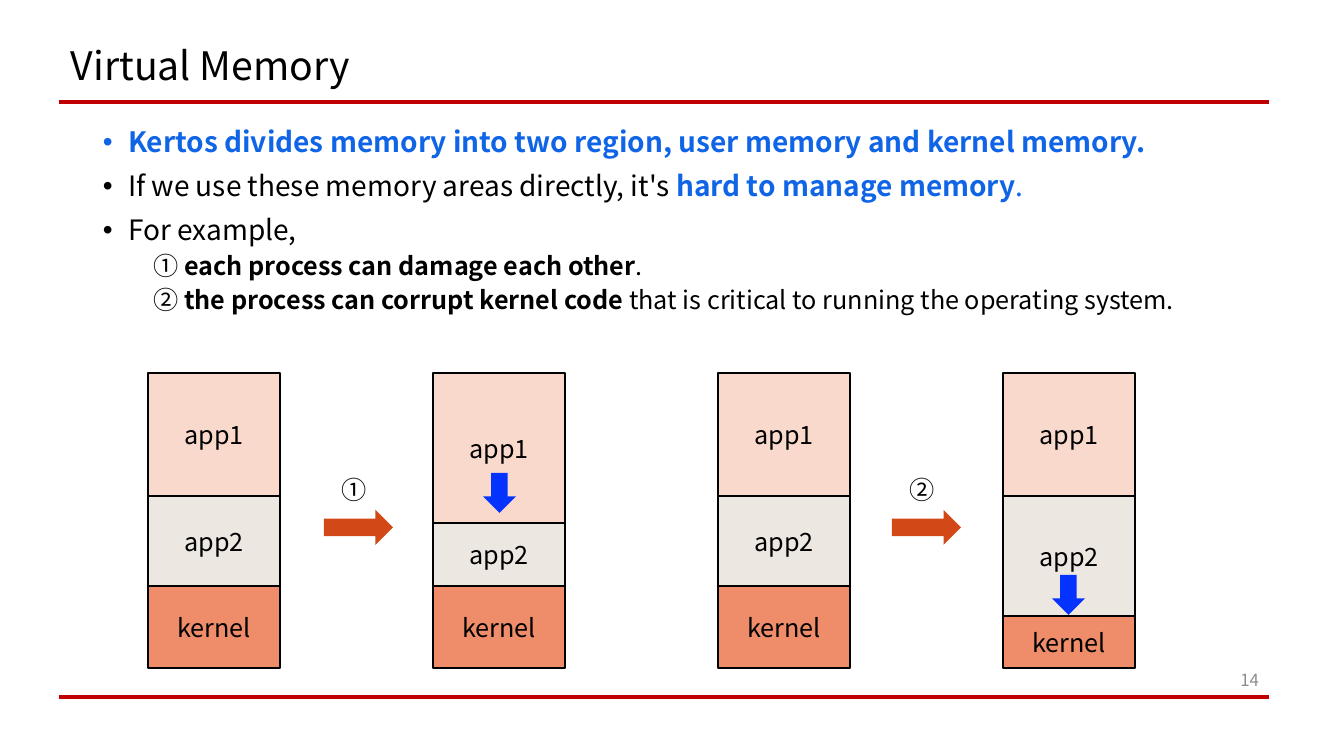
import dataclasses

import lxml.etree
import pptx
import pptx.dml.color
import pptx.enum.shapes
import pptx.enum.text
import pptx.oxml.ns
import pptx.util

SHAPE = pptx.enum.shapes.MSO_SHAPE
ALIGN = pptx.enum.text.PP_ALIGN
ANCHOR = pptx.enum.text.MSO_ANCHOR


@dataclasses.dataclass(frozen=True)
class Theme:
    font: str = "Noto Sans CJK KR"
    ink: str = "000000"
    rule: str = "C00000"
    highlight: str = "1065E7"
    page: str = "8C8C8C"
    app1: str = "FAD9CD"
    app2: str = "ECE8E1"
    kernel: str = "EF8C6A"
    step: str = "D34817"
    growth: str = "0432FF"
    title_size: int = 28
    bullet_size: int = 20
    label_size: int = 18
    page_size: int = 12


THEME = Theme()

# Memory columns: four at equal steps, each split at the given edges
COLUMN_LEFT, COLUMN_STEP, COLUMN_WIDTH = 148, 285, 132
REGIONS = (("app1", THEME.app1), ("app2", THEME.app2), ("kernel", THEME.kernel))
COLUMN_EDGES = (
    (373, 496, 586, 668),
    (373, 523, 586, 668),
    (373, 496, 586, 668),
    (373, 496, 616, 668),
)

# Bullets: level, then runs of (text, colour, bold)
BULLETS = (
    (0, (("Kertos divides memory into two region, user memory and kernel memory.",
          THEME.highlight, True),)),
    (0, (("If we use these memory areas directly, it's ", THEME.ink, False),
         ("hard to manage memory", THEME.highlight, True),
         (".", THEME.highlight, False))),
    (0, (("For example,", THEME.ink, False),)),
    (1, (("① ", THEME.ink, False),
         ("each process can damage each other", THEME.ink, True),
         (".", THEME.ink, False))),
    (1, (("② ", THEME.ink, False),
         ("the process can corrupt kernel code ", THEME.ink, True),
         ("that is critical to running the operating system.", THEME.ink, False))),
)


def px(length):
    return pptx.util.Emu(round(length * 914400 / 100.8))


def rgb(colour):
    return pptx.dml.color.RGBColor.from_string(colour)


def add_run(paragraph, text, size, colour=THEME.ink, bold=False):
    run = paragraph.add_run()
    run.text = text
    run.font.name = THEME.font
    run.font.size = pptx.util.Pt(size)
    run.font.bold = bold
    run.font.color.rgb = rgb(colour)


def add_text_frame(slide, box, anchor=ANCHOR.TOP, wrap=True):
    frame = slide.shapes.add_textbox(*map(px, box)).text_frame
    frame.word_wrap = wrap
    frame.vertical_anchor = anchor
    return frame


def add_rule(slide, y):
    rule = slide.shapes.add_connector(
        pptx.enum.shapes.MSO_CONNECTOR.STRAIGHT, px(59), px(y), px(1269), px(y))
    rule.line.color.rgb = rgb(THEME.rule)
    rule.line.width = pptx.util.Pt(2.25)
    lxml.etree.SubElement(rule._element.spPr, pptx.oxml.ns.qn("a:effectLst"))


def add_filled(slide, kind, box, fill):
    filled = slide.shapes.add_shape(kind, *map(px, box))
    filled.shadow.inherit = False
    filled.fill.solid()
    filled.fill.fore_color.rgb = rgb(fill)
    filled.line.fill.background()
    return filled


def add_bullets(slide):
    frame = add_text_frame(slide, (93, 123, 1159, 545))
    for index, (level, runs) in enumerate(BULLETS):
        paragraph = frame.paragraphs[0] if index == 0 else frame.add_paragraph()
        paragraph.level = level
        paragraph.line_spacing = 0.9
        paragraph.space_before = pptx.util.Pt(5 if level else 10)
        properties = paragraph._p.get_or_add_pPr()
        indent = pptx.util.Inches(0.25)
        properties.set("marL", str(indent * (level + 1)))
        properties.set("indent", str(0 if level else -indent))
        if level == 0:
            bullet_font = lxml.etree.SubElement(properties, pptx.oxml.ns.qn("a:buFont"))
            bullet_font.set("typeface", "Arial")
            bullet = lxml.etree.SubElement(properties, pptx.oxml.ns.qn("a:buChar"))
            bullet.set("char", "•")
        size = THEME.label_size if level else THEME.bullet_size
        for text, colour, bold in runs:
            add_run(paragraph, text, size, colour, bold)


def add_memory_column(slide, left, edges):
    for (name, fill), top, bottom in zip(REGIONS, edges, edges[1:]):
        region = add_filled(slide, SHAPE.RECTANGLE,
                            (left, top, COLUMN_WIDTH, bottom - top), fill)
        region.line.color.rgb = rgb(THEME.ink)
        region.line.width = pptx.util.Pt(1)
        region.text_frame.vertical_anchor = ANCHOR.MIDDLE
        paragraph = region.text_frame.paragraphs[0]
        paragraph.alignment = ALIGN.CENTER
        add_run(paragraph, name, THEME.label_size)


def add_step(slide, number, left):
    add_filled(slide, SHAPE.RIGHT_ARROW, (left, 510, 69, 35), THEME.step)
    label = add_text_frame(slide, (left + 8, 469, 45, 40), wrap=False)
    add_run(label.paragraphs[0], number, THEME.label_size)


def add_growth(slide, left, top):
    add_filled(slide, SHAPE.DOWN_ARROW, (left, top, 33, 40), THEME.growth)


def main():
    deck = pptx.Presentation()
    deck.slide_width, deck.slide_height = px(1344), px(756)
    slide = deck.slides.add_slide(deck.slide_layouts[6])

    # Frame and title
    for y in (102, 697):
        add_rule(slide, y)
    title = add_text_frame(slide, (61, 41, 1159, 53), ANCHOR.MIDDLE).paragraphs[0]
    title.line_spacing = 0.9
    add_run(title, "Virtual Memory", THEME.title_size)

    add_bullets(slide)

    # Memory before and after each overrun
    for index, edges in enumerate(COLUMN_EDGES):
        add_memory_column(slide, COLUMN_LEFT + index * COLUMN_STEP, edges)
    for number, left in (("①", 324), ("②", 892)):
        add_step(slide, number, left)
    for left, top in ((483, 473), (1052, 575)):
        add_growth(slide, left, top)

    # Page number
    page = add_text_frame(slide, (1220, 660, 49, 40), ANCHOR.MIDDLE).paragraphs[0]
    page.alignment = ALIGN.RIGHT
    add_run(page, "14", THEME.page_size, THEME.page)

    deck.save("out.pptx")


if __name__ == "__main__":
    main()
